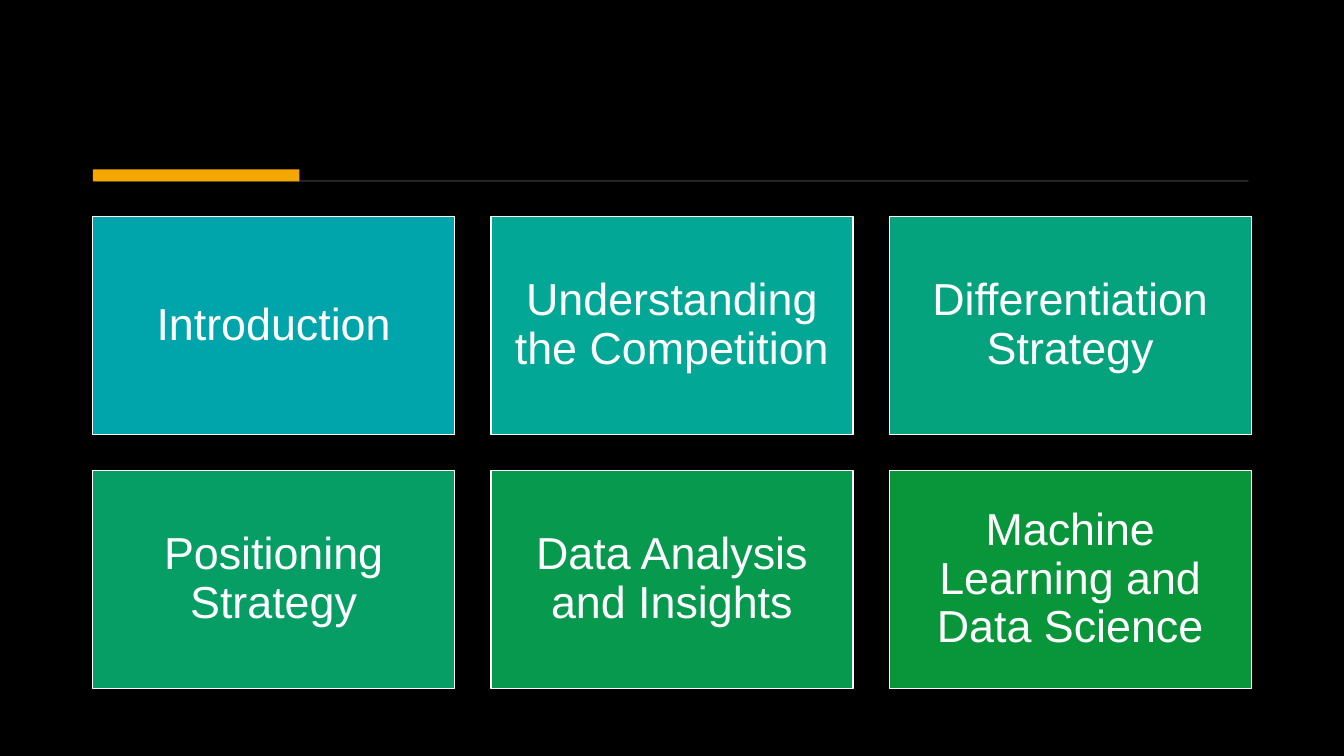
"""Build an agenda slide with six coloured topic tiles on black."""
from lxml import etree
from pptx import Presentation
from pptx.dml.color import RGBColor
from pptx.enum.shapes import MSO_SHAPE as Shape
from pptx.enum.text import MSO_ANCHOR as Anchor, PP_ALIGN as Align
from pptx.oxml.ns import qn
from pptx.util import Inches, Pt


def paint(fill, color):
    fill.solid()
    fill.fore_color.rgb = RGBColor.from_string(color)


def add_box(left, top, width, height, color):
    box = slide.shapes.add_shape(
        Shape.RECTANGLE, Inches(left), Inches(top), Inches(width), Inches(height))
    box.shadow.inherit = False
    paint(box.fill, color)
    box.line.fill.background()
    return box


deck = Presentation()
deck.slide_width, deck.slide_height = Inches(13.33), Inches(7.5)
slide = deck.slides.add_slide(deck.slide_layouts[6])
paint(slide.background.fill, "000000")

rule = add_box(0.95, 1.79, 11.43, 0.01, "595959")
paint(rule.line.fill, "595959")
rule.line.width = Pt(0.75)
for tint in rule.element.spPr.iter(qn("a:srgbClr")):
    etree.SubElement(tint, qn("a:alpha"), val="30000")

add_box(0.92, 1.68, 2.05, 0.12, "F5A700")

topics = [
    ("Introduction", "00A5AB"),
    ("Understanding the Competition", "02A796"),
    ("Differentiation Strategy", "04A27D"),
    ("Positioning Strategy", "069E65"),
    ("Data Analysis and Insights", "079A4F"),
    ("Machine Learning and Data Science", "09963B"),
]
inset = Inches(0.13)
layout = {
    "word_wrap": True, "vertical_anchor": Anchor.MIDDLE,
    "margin_left": inset, "margin_right": inset,
    "margin_top": inset, "margin_bottom": inset,
}
style = {"name": "Arial", "size": Pt(32)}

for i, (topic, color) in enumerate(topics):
    row, col = divmod(i, 3)
    tile = add_box(0.92 + 3.95 * col, 2.15 + 2.52 * row, 3.59, 2.16, color)
    paint(tile.line.fill, "FFFFFF")
    tile.line.width = Pt(1)
    frame = tile.text_frame
    for key, value in layout.items():
        setattr(frame, key, value)
    para = frame.paragraphs[0]
    para.text = topic
    para.alignment = Align.CENTER
    para.line_spacing = 0.9
    font = para.runs[0].font
    for key, value in style.items():
        setattr(font, key, value)
    paint(font.fill, "FFFFFF")

deck.save("out.pptx")
